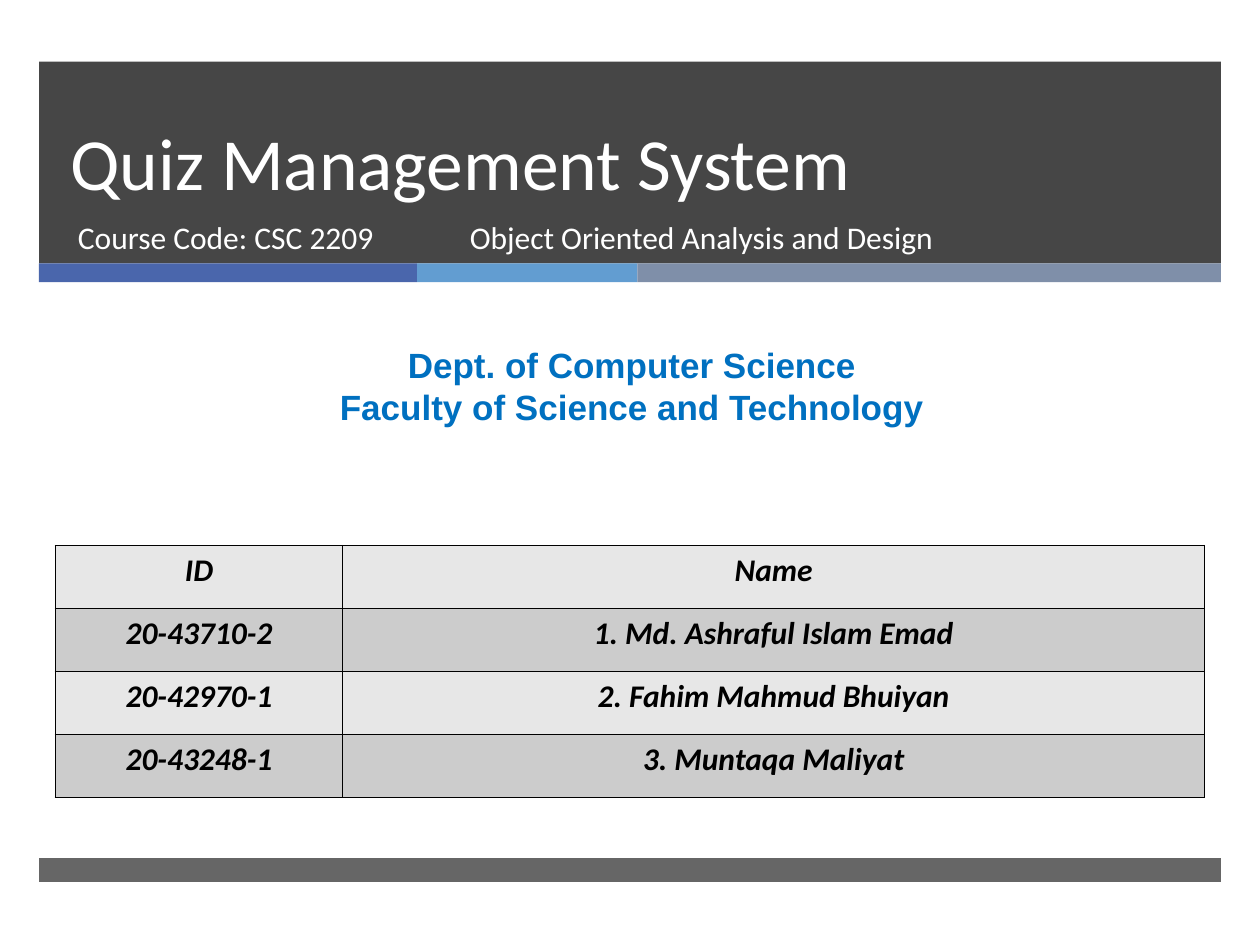
from lxml.etree import SubElement
from pptx import Presentation
from pptx.dml.color import RGBColor
from pptx.enum.shapes import MSO_SHAPE
from pptx.enum.text import MSO_ANCHOR, MSO_AUTO_SIZE, PP_ALIGN
from pptx.oxml.ns import qn
from pptx.util import Inches, Pt

COLORS = {
    "band": "262626", "indigo": "4A66AC", "sky": "629DD1", "slate": "7F8FA9",
    "white": "FFFFFF", "black": "000000", "department": "0070C0",
    "light_row": "E7E7E7", "dark_row": "CCCCCC",
}
STRIPES = [("indigo", 3), ("sky", 1.75), ("slate", 4.63)]
MEMBERS = [
    ("ID", "Name"),
    ("20-43710-2", "1. Md. Ashraful Islam Emad"),
    ("20-42970-1", "2. Fahim Mahmud Bhuiyan"),
    ("20-43248-1", "3. Muntaqa Maliyat"),
]
COLUMN_WIDTHS = (2.28, 6.84)
TITLE_FONT = {"name": "Calibri", "size": Pt(42)}
COURSE_FONT = {"name": "Calibri", "size": Pt(18)}
DEPARTMENT_FONT = {"name": "Arial", "size": Pt(20), "bold": True}
TABLE_FONT = {"name": "Calibri", "size": Pt(18), "bold": True, "italic": True}


def set_color(target, name):
    """Give a fill a solid palette colour."""
    target.solid()
    target.fore_color.rgb = RGBColor.from_string(COLORS[name])


def write(frame, lines, font, color, align=PP_ALIGN.LEFT, spacing=None):
    """Write lines as formatted paragraphs of a text frame."""
    frame.word_wrap = True
    for index, line in enumerate(lines):
        para = frame.add_paragraph() if index else frame.paragraphs[0]
        para.alignment = align
        para.line_spacing = spacing
        span = para.add_run()
        span.text = line
        for key, value in font.items():
            setattr(span.font, key, value)
        span.font.color.rgb = RGBColor.from_string(COLORS[color])


def add_bar(page, left, top, width, height, color, opacity=100):
    """Add a plain rectangle with an opacity in percent."""
    bar = page.shapes.add_shape(
        MSO_SHAPE.RECTANGLE, Inches(left), Inches(top), Inches(width), Inches(height))
    bar.shadow.inherit = False
    bar.line.fill.background()
    set_color(bar.fill, color)
    if opacity < 100:
        swatch = bar.element.spPr.find(qn("a:solidFill"))[0]
        SubElement(swatch, qn("a:alpha"), val=str(opacity * 1000))


def place_title(page, text):
    """Place the title placeholder in front of the header band."""
    title = page.shapes.title
    place = {"left": 0.46, "top": 0.49, "width": 8.54, "height": 1.19}
    for key, value in place.items():
        setattr(title, key, Inches(value))
    frame = title.text_frame
    frame.auto_size = MSO_AUTO_SIZE.NONE
    frame.vertical_anchor = MSO_ANCHOR.BOTTOM
    write(frame, [text], TITLE_FONT, "white", spacing=Pt(46))
    title.element.getparent().append(title.element)


def add_text(page, left, top, width, height, lines, font, color, **layout):
    """Add a text box."""
    box = page.shapes.add_textbox(
        Inches(left), Inches(top), Inches(width), Inches(height))
    write(box.text_frame, lines, font, color, **layout)


def add_borders(cell):
    """Draw a thin black line on each side of a cell."""
    properties = cell._tc.get_or_add_tcPr()
    for index, side in enumerate(("lnL", "lnR", "lnT", "lnB")):
        line = properties.makeelement(qn(f"a:{side}"), {"w": str(Pt(1))})
        fill = SubElement(line, qn("a:solidFill"))
        SubElement(fill, qn("a:srgbClr"), val=COLORS["black"])
        properties.insert(index, line)


def add_member_table(page, left, top, row_height):
    """Add the table of members with alternating row fills."""
    table = page.shapes.add_table(
        len(MEMBERS), len(COLUMN_WIDTHS), Inches(left), Inches(top),
        Inches(sum(COLUMN_WIDTHS)), Inches(row_height * len(MEMBERS))).table
    for column, width in zip(table.columns, COLUMN_WIDTHS):
        column.width = Inches(width)
    for row, values in enumerate(MEMBERS):
        for column, value in enumerate(values):
            cell = table.cell(row, column)
            set_color(cell.fill, "dark_row" if row % 2 else "light_row")
            write(cell.text_frame, [value], TABLE_FONT, "black", PP_ALIGN.CENTER)
            add_borders(cell)


def main():
    """Build and save the cover slide."""
    deck = Presentation()
    deck.slide_width, deck.slide_height = Inches(10), Inches(7.5)
    page = deck.slides.add_slide(deck.slide_layouts.get_by_name("Title Only"))
    add_bar(page, 0.31, 0.49, 9.38, 1.6, "band", 85)
    left = 0.31
    for color, width in STRIPES:
        add_bar(page, left, 2.09, width, 0.15, color)
        left += width
    add_bar(page, 0.31, 6.81, 9.38, 0.19, "band", 70)
    place_title(page, "Quiz Management System")
    add_text(page, 0.52, 1.68, 3.05, 0.53, ["Course Code: CSC 2209"],
             COURSE_FONT, "white")
    add_text(page, 3.63, 1.68, 4.55, 0.53, ["Object Oriented Analysis and Design"],
             COURSE_FONT, "white")
    add_text(page, 0.08, 2.68, 9.87, 0.77,
             ["Dept. of Computer Science", "Faculty of Science and Technology"],
             DEPARTMENT_FONT, "department", align=PP_ALIGN.CENTER, spacing=Pt(24))
    add_member_table(page, 0.44, 4.33, 0.5)
    deck.save("out.pptx")


if __name__ == "__main__":
    main()
